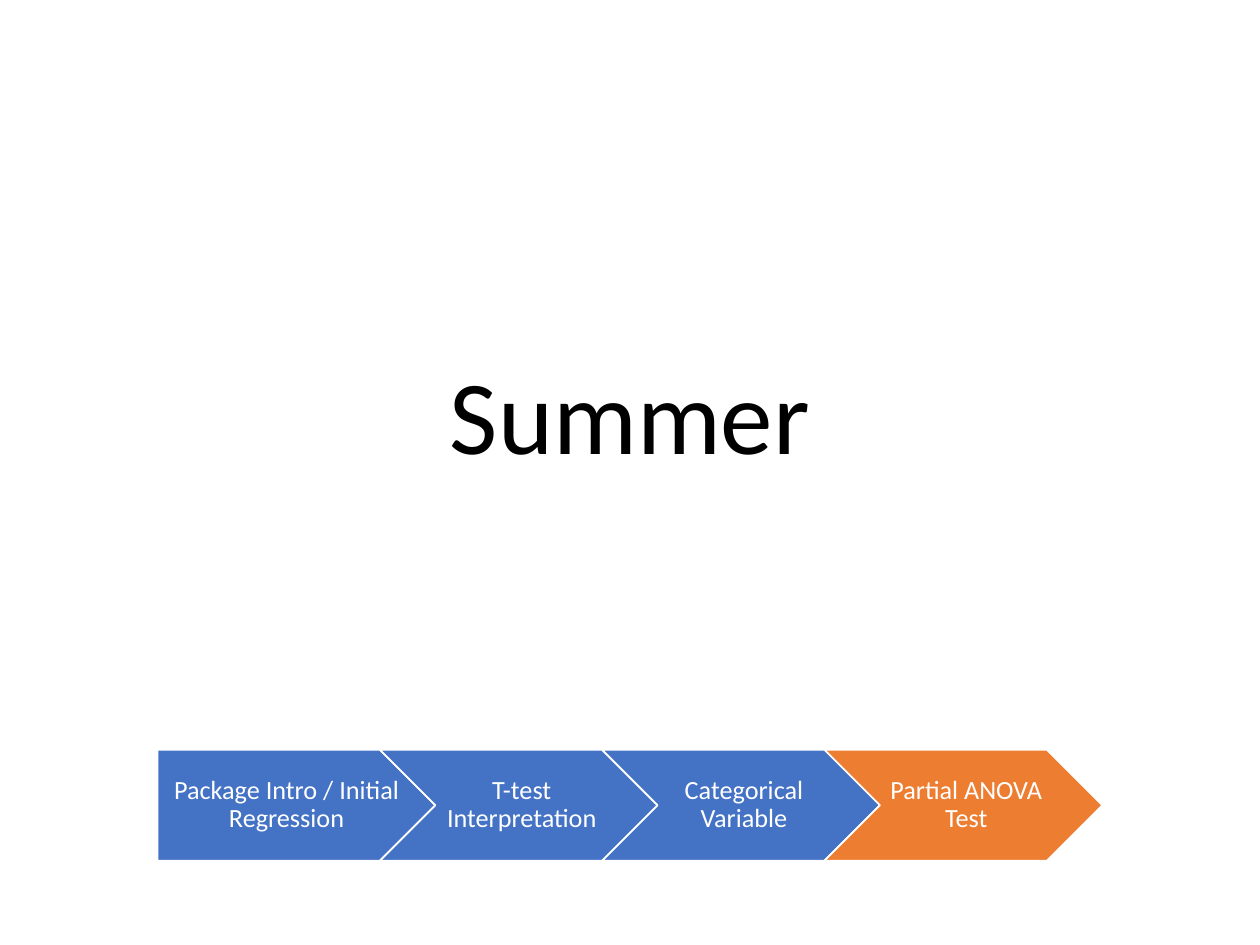
from pptx import Presentation
from pptx.dml.color import RGBColor
from pptx.enum.shapes import MSO_SHAPE as Shape
from pptx.enum.text import MSO_ANCHOR as Anchor, MSO_AUTO_SIZE as AutoSize, PP_ALIGN as Align
from pptx.util import Pt

FONT = "Calibri"
BLUE, ORANGE, WHITE, BLACK = "4472C4", "ED7D31", "FFFFFF", "000000"
STEPS = [
    ("Package Intro / Initial Regression", BLUE),
    ("T-test Interpretation", BLUE),
    ("Categorical Variable", BLUE),
    ("Partial ANOVA Test", ORANGE),
]
STEP_LEFT, STEP_TOP, STEP_WIDTH, STEP_HEIGHT = 90, 428.4, 158.8, 63.5
STEP_PITCH = STEP_WIDTH * 0.8


def color(hex_string):
    """Return the colour for a hex string."""
    return RGBColor.from_string(hex_string)


def write_text(text_frame, text, size, hex_string, anchor):
    """Write one centred paragraph into a text frame."""
    text_frame.word_wrap = True
    text_frame.auto_size = AutoSize.NONE
    text_frame.vertical_anchor = anchor
    paragraph = text_frame.paragraphs[0]
    paragraph.alignment = Align.CENTER
    paragraph.line_spacing = 0.9
    run = paragraph.add_run()
    run.text = text
    run.font.name = FONT
    run.font.size = Pt(size)
    run.font.color.rgb = color(hex_string)


def add_title(slide, text):
    """Place and fill the title placeholder."""
    title = slide.shapes.title
    title.left, title.top = Pt(54), Pt(88.4)
    title.width, title.height = Pt(612), Pt(188)
    write_text(title.text_frame, text, 60, BLACK, Anchor.BOTTOM)


def add_step(slide, index, text, fill):
    """Add one arrow of the process; the first has a flat left edge."""
    kind = Shape.CHEVRON if index else Shape.PENTAGON
    left = STEP_LEFT + index * STEP_PITCH
    shape = slide.shapes.add_shape(
        kind, Pt(left), Pt(STEP_TOP), Pt(STEP_WIDTH), Pt(STEP_HEIGHT))
    shape.shadow.inherit = False
    shape.fill.solid()
    shape.fill.fore_color.rgb = color(fill)
    shape.line.color.rgb = color(WHITE)
    shape.line.width = Pt(1)
    text_frame = shape.text_frame
    text_frame.margin_left = Pt(5 if index else 6.3)
    text_frame.margin_right = Pt(1.6)
    text_frame.margin_top = text_frame.margin_bottom = Pt(3.2)
    write_text(text_frame, text, 15, WHITE, Anchor.MIDDLE)


def main():
    """Build the slide and save it."""
    presentation = Presentation()
    presentation.slide_width, presentation.slide_height = Pt(720), Pt(540)
    slide = presentation.slides.add_slide(presentation.slide_layouts[0])
    subtitle = slide.placeholders[1].element
    subtitle.getparent().remove(subtitle)
    add_title(slide, "Summer")
    for index, (text, fill) in enumerate(STEPS):
        add_step(slide, index, text, fill)
    presentation.save("out.pptx")


main()
